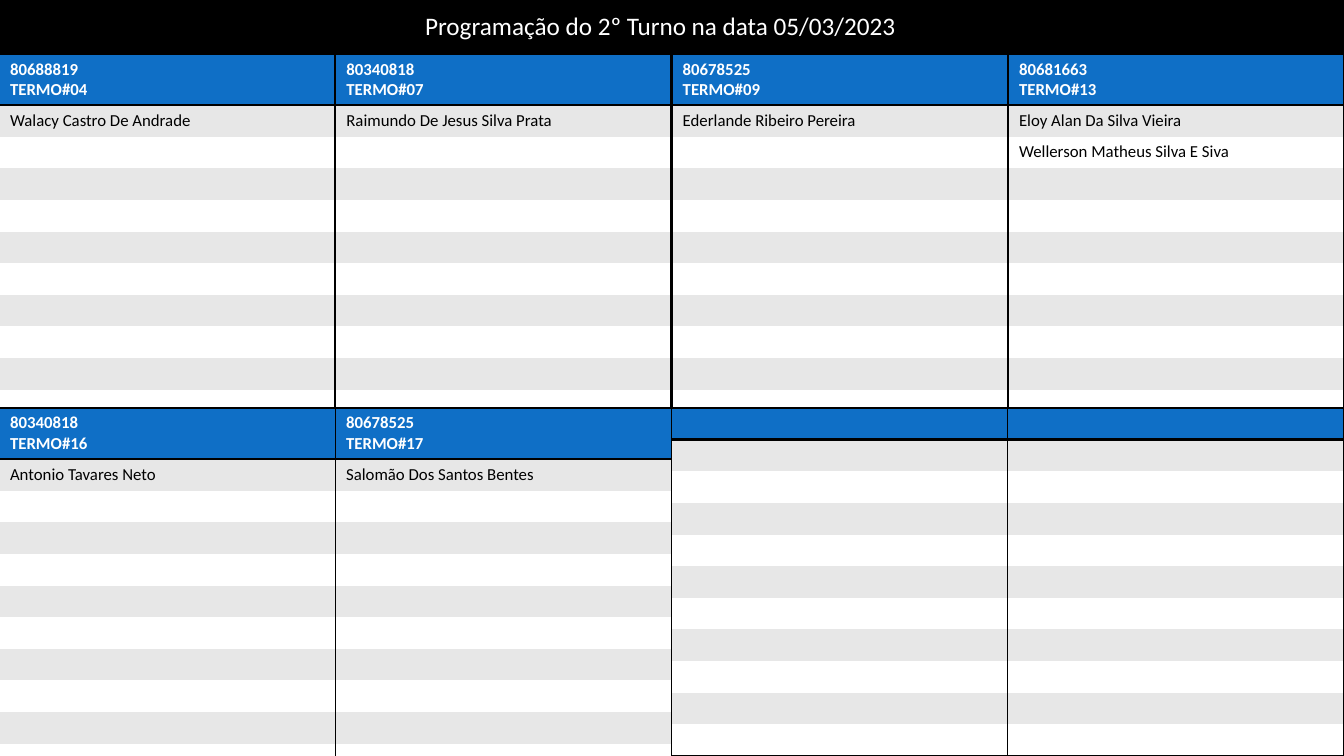
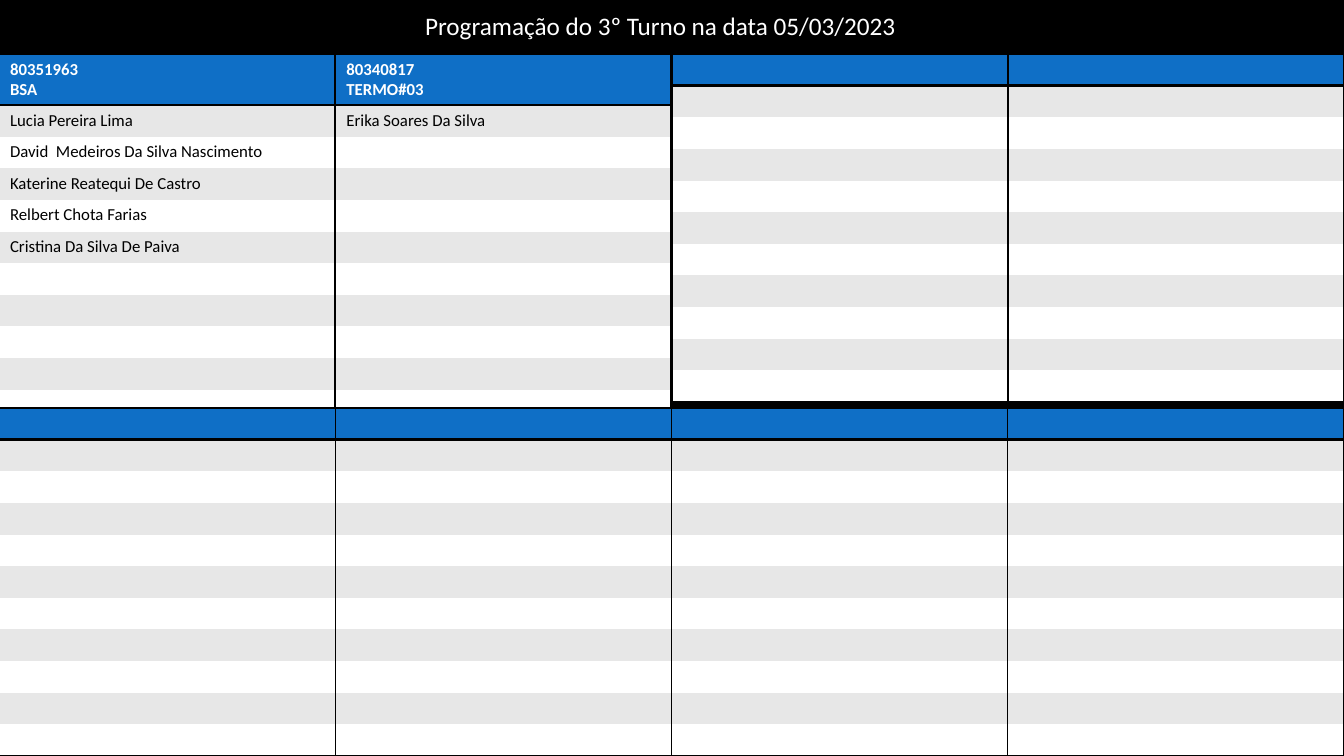
from dataclasses import dataclass

from lxml import etree
from pptx import Presentation
from pptx.dml.color import RGBColor
from pptx.enum.text import MSO_ANCHOR, PP_ALIGN
from pptx.oxml.ns import qn
from pptx.util import Emu, Pt

LEFT, TOP = PP_ALIGN.LEFT, MSO_ANCHOR.TOP
PLAIN = "{2D5ABB26-0587-4C30-8999-92F81FD0307C}"  # table style without grid

# Content: title, then (order, machine, crew) in reading order
SHIFTS = [
    ("Programação do 2º Turno na data 05/03/2023", [
        ("80688819", "TERMO#04", ["Walacy Castro De Andrade"]),
        ("80340818", "TERMO#07", ["Raimundo De Jesus Silva Prata"]),
        ("80678525", "TERMO#09", ["Ederlande Ribeiro Pereira"]),
        ("80681663", "TERMO#13", ["Eloy Alan Da Silva Vieira",
                                  "Wellerson Matheus Silva E Siva"]),
        ("80340818", "TERMO#16", ["Antonio Tavares Neto"]),
        ("80678525", "TERMO#17", ["Salomão Dos Santos Bentes"]),
    ]),
    ("Programação do 3º Turno na data 05/03/2023", [
        ("80351963", "BSA", ["Lucia Pereira Lima",
                             "David  Medeiros Da Silva Nascimento",
                             "Katerine Reatequi De Castro",
                             "Relbert Chota Farias",
                             "Cristina Da Silva De Paiva"]),
        ("80340817", "TERMO#03", ["Erika Soares Da Silva"]),
    ]),
]


@dataclass(frozen=True)
class Theme:
    font: str = "Calibri"
    black: str = "000000"
    white: str = "FFFFFF"
    blue: str = "0F6FC6"
    gray: str = "E7E7E7"
    head: int = 18
    body: int = 12
    rule: int = 2


THEME = Theme()

# Layout in px: each band is (top, left of last column, table width)
WIDE, HIGH = 1344, 756
TITLE = (415, 5, 515, 40)
BANDS = [(54, 1009, 334), (408, 1008, 335)]
COLS, ROWS, TALL = 4, 11, 348


def px(n):
    return Emu(round(n * 914400 / 100.8))


def style(para, size, color, bold=False):
    font = para.font
    font.name, font.size, font.bold = THEME.font, Pt(size), bold
    font.color.rgb = RGBColor.from_string(color)


def edge(cell, tag):
    line = etree.SubElement(cell._tc.get_or_add_tcPr(), qn(tag),
                            w=str(Pt(THEME.rule)))
    fill = etree.SubElement(line, qn("a:solidFill"))
    etree.SubElement(fill, qn("a:srgbClr"), val=THEME.black)


def fill_cell(cell, row, text):
    # Borders come before the fill in the cell properties
    if row == 0:
        edge(cell, "a:lnT")
    if row in (0, ROWS - 1):
        edge(cell, "a:lnB")
    back = THEME.blue if row == 0 else THEME.gray if row % 2 else THEME.white
    cell.fill.solid()
    cell.fill.fore_color.rgb = RGBColor.from_string(back)
    cell.text = text
    for para in cell.text_frame.paragraphs:
        style(para, THEME.body, THEME.black if row else THEME.white, row == 0)
        if not text:  # keeps an empty row as low as a filled one
            etree.SubElement(para._p, qn("a:endParaRPr"),
                             sz=str(THEME.body * 100))


def add_crew(slide, slot, job):
    band, col = divmod(slot, COLS)
    top, last, wide = BANDS[band]
    left = last * col / (COLS - 1)
    table = slide.shapes.add_table(ROWS, 1, px(left), px(top),
                                   px(wide), px(TALL)).table
    table._tbl.tblPr.find(qn("a:tableStyleId")).text = PLAIN
    table.first_row = table.horz_banding = False
    order, unit, crew = job
    texts = ["\n".join(filter(None, (order, unit))), *crew]
    texts += [""] * (ROWS - len(texts))
    for row, text in enumerate(texts):
        table.rows[row].height = px(TALL / ROWS)
        fill_cell(table.cell(row, 0), row, text)


def add_title(slide, text):
    title = slide.shapes.title
    title.left, title.top, title.width, title.height = map(px, TITLE)
    frame = title.text_frame
    frame.text = text
    frame.word_wrap = False
    frame.vertical_anchor = TOP
    para = frame.paragraphs[0]
    para.alignment = LEFT
    style(para, THEME.head, THEME.white)


def main():
    prs = Presentation()
    prs.slide_width, prs.slide_height = px(WIDE), px(HIGH)
    # Shared black background
    back = prs.slide_master.background.fill
    back.solid()
    back.fore_color.rgb = RGBColor.from_string(THEME.black)
    for text, jobs in SHIFTS:
        slide = prs.slides.add_slide(prs.slide_layouts[5])
        add_title(slide, text)
        spare = COLS * len(BANDS) - len(jobs)
        for slot, job in enumerate(jobs + [("", "", [])] * spare):
            add_crew(slide, slot, job)
    prs.save("out.pptx")


if __name__ == "__main__":
    main()
